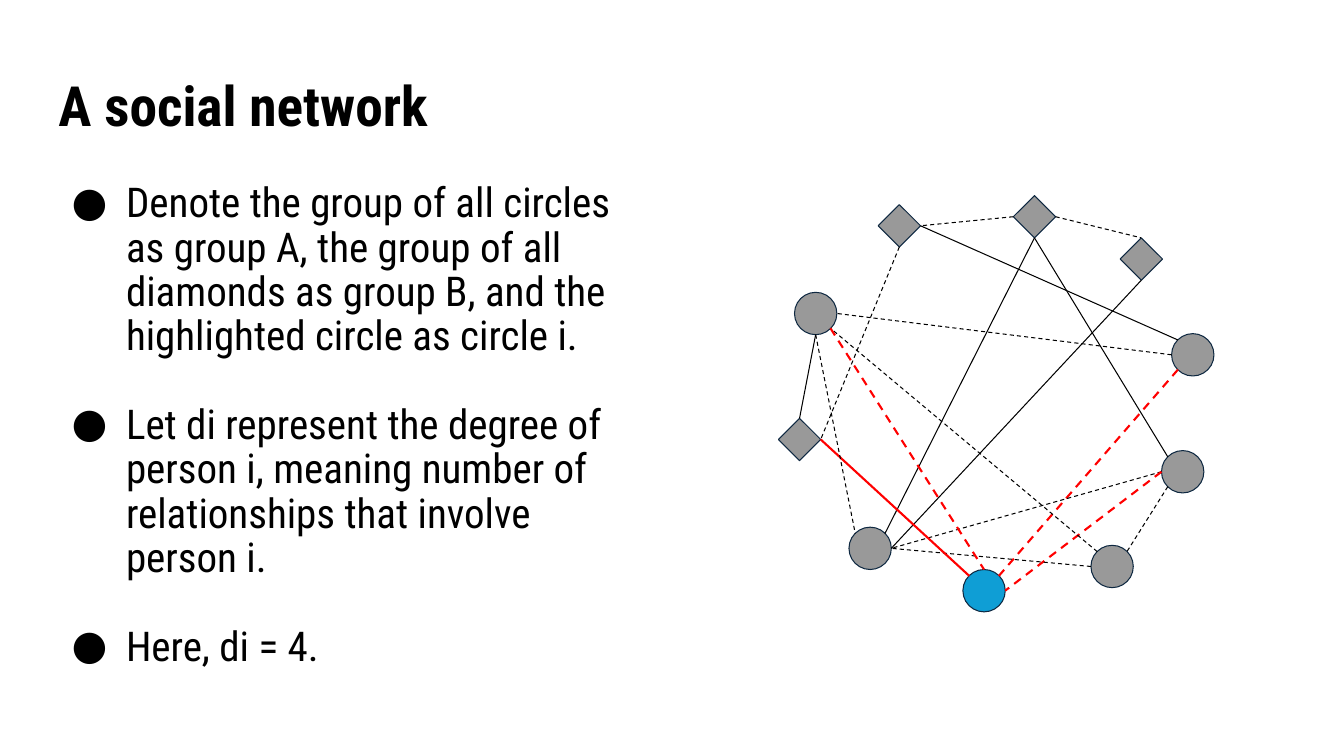
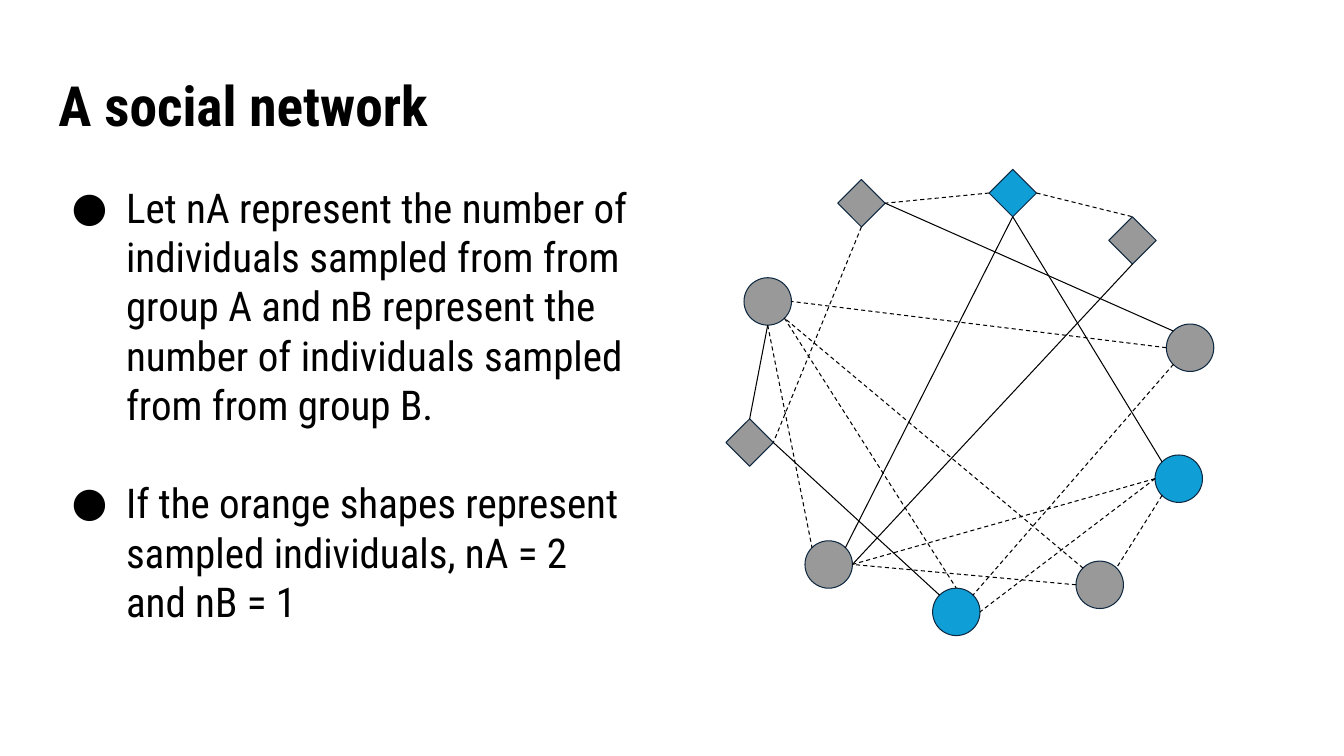
from lxml.etree import SubElement
from pptx import Presentation
from pptx.dml.color import RGBColor
from pptx.enum.dml import MSO_LINE as Dash
from pptx.enum.shapes import MSO_CONNECTOR as Connector, MSO_SHAPE as Preset
from pptx.enum.text import MSO_ANCHOR as Anchor, MSO_AUTO_SIZE as AutoSize, PP_ALIGN as Align
from pptx.oxml.ns import qn
from pptx.util import Inches, Pt

FONT = "Roboto Condensed"
BLACK, GREY, BLUE, NAVY, RED = "000000", "999999", "0F9ED5", "0E2841", "FF0000"
TITLE_BOX = (0.45, 0.65, 12.42, 0.84)
BODY_BOX = (0.45, 1.68, 5.99, 5.56)
INSET = 0.13
TITLE_SIZE, BODY_SIZE = 39.6, 29.3
LINE_HEIGHT = 35.2  # points, at single spacing

# Network at scale 1: top-left corner of each node, relative to the network
NODE_SIZE = 0.42
CIRCLES = {
    "lower right": (3.10, 3.47),
    "left": (0.16, 0.96),
    "lower left": (0.70, 3.29),
    "right": (3.80, 2.53),
    "upper right": (3.90, 1.37),
    "bottom": (1.83, 3.71),
}
DIAMONDS = {
    "top left": (0.99, 0.09),
    "top": (2.33, 0),
    "top right": (3.39, 0.42),
    "far left": (0, 2.21),
}
# Connection sites in preset order, and where each lies on the unit square
CIRCLE_SITES = ("N", "NW", "W", "SW", "S", "SE", "E", "NE")
DIAMOND_SITES = ("N", "W", "S", "E")
NEAR, FAR = 0.15, 0.85
SITE_POINTS = {
    "N": (0.5, 0), "NW": (NEAR, NEAR), "W": (0, 0.5), "SW": (NEAR, FAR),
    "S": (0.5, 1), "SE": (FAR, FAR), "E": (1, 0.5), "NE": (FAR, NEAR),
}
# Dashed ties join two nodes of one group, solid ties cross between groups
TIES = (
    ("top", "S", "lower left", "NE"),
    ("top", "S", "right", "NW"),
    ("top", "E", "top right", "N"),
    ("top", "W", "top left", "E"),
    ("top right", "S", "lower left", "E"),
    ("upper right", "NW", "top left", "E"),
    ("upper right", "W", "left", "E"),
    ("upper right", "SW", "bottom", "NE"),
    ("right", "W", "lower left", "E"),
    ("right", "W", "bottom", "E"),
    ("right", "SW", "lower right", "NE"),
    ("lower right", "W", "lower left", "E"),
    ("lower right", "NW", "left", "SE"),
    ("left", "SE", "bottom", "N"),
    ("far left", "E", "bottom", "NW"),
    ("left", "S", "lower left", "NW"),
    ("top left", "S", "far left", "E"),
    ("left", "S", "far left", "N"),
)


def color(value):
    return RGBColor.from_string(value)


def set_font(para, size, bold=False):
    para.font.name = FONT
    para.font.size = Pt(size)
    para.font.bold = bold
    para.font.color.rgb = color(BLACK)


def set_frame(frame):
    frame.word_wrap = True
    frame.auto_size = AutoSize.NONE
    frame.vertical_anchor = Anchor.TOP
    frame.margin_left = frame.margin_right = Inches(INSET)
    frame.margin_top = frame.margin_bottom = Inches(INSET)


def add_title(page, text):
    title = page.shapes.title
    title.left, title.top, title.width, title.height = map(Inches, TITLE_BOX)
    title.text_frame.text = text
    set_frame(title.text_frame)
    para = title.text_frame.paragraphs[0]
    para.alignment = Align.LEFT
    para.line_spacing = 0.9
    set_font(para, TITLE_SIZE, bold=True)


def add_bullets(page, box, texts, spacing):
    """List the texts one line apart, at the given line spacing."""
    frame = page.shapes.add_textbox(*map(Inches, box)).text_frame
    set_frame(frame)
    for number, text in enumerate(texts):
        para = frame.add_paragraph() if number else frame.paragraphs[0]
        para.text = text
        para.line_spacing = spacing
        if number:
            para.space_before = Pt(round(LINE_HEIGHT * spacing, 1))
        properties = para._p.get_or_add_pPr()
        properties.set("marL", str(Inches(0.67)))
        properties.set("indent", str(Inches(-0.54)))
        SubElement(properties, qn("a:buFont")).set("typeface", FONT)
        SubElement(properties, qn("a:buChar")).set("char", "●")
        set_font(para, BODY_SIZE)


def add_node(page, preset, left, top, size, fill):
    node = page.shapes.add_shape(preset, *map(Inches, (left, top, size, size)))
    node.shadow.inherit = False
    node.fill.solid()
    node.fill.fore_color.rgb = color(fill)
    node.line.color.rgb = color(NAVY)
    node.line.width = Pt(0.75)
    return node


def site_position(node, site):
    across, down = SITE_POINTS[site]
    return node.left + round(across * node.width), node.top + round(down * node.height)


def site_index(name, site):
    return str((CIRCLE_SITES if name in CIRCLES else DIAMOND_SITES).index(site))


def add_tie(page, nodes, tie, strong):
    start, start_site, end, end_site = tie
    line = page.shapes.add_connector(Connector.STRAIGHT, 0, 0, 0, 0)
    # Circles have eight sites, so the site number and the end are set after joining
    line.begin_connect(nodes[start], 0)
    line.end_connect(nodes[end], 0)
    line._element.find(".//" + qn("a:stCxn")).set("idx", site_index(start, start_site))
    line._element.find(".//" + qn("a:endCxn")).set("idx", site_index(end, end_site))
    line.begin_x, line.begin_y = site_position(nodes[start], start_site)
    line.end_x, line.end_y = site_position(nodes[end], end_site)
    line.line.color.rgb = color(RED if strong else BLACK)
    line.line.width = Pt(1.5 if strong else 0.75)
    if (start in CIRCLES) == (end in CIRCLES):
        line.line.dash_style = Dash.DASH
    SubElement(line._element.spPr, qn("a:effectLst"))


def add_network(page, left, top, scale, highlighted, focus=None):
    """Draw the network; ties of the focus node are red and thick."""
    nodes = {}
    for preset, places in ((Preset.OVAL, CIRCLES), (Preset.DIAMOND, DIAMONDS)):
        for name, (x, y) in places.items():
            fill = BLUE if name in highlighted else GREY
            nodes[name] = add_node(page, preset, left + x * scale, top + y * scale,
                                   NODE_SIZE * scale, fill)
    for tie in TIES:
        add_tie(page, nodes, tie, focus in (tie[0], tie[2]))


def add_network_page(deck, texts, spacing, **network):
    page = deck.slides.add_slide(deck.slide_layouts[5])
    add_title(page, "A social network")
    add_bullets(page, BODY_BOX, texts, spacing)
    add_network(page, **network)


def main():
    deck = Presentation()
    deck.slide_width, deck.slide_height = Inches(13.33), Inches(7.5)
    add_network_page(
        deck,
        ("Denote the group of all circles as group A, the group of all diamonds "
         "as group B, and the highlighted circle as circle i.",
         "Let di represent the degree of person i, meaning number of "
         "relationships that involve person i.",
         "Here, di = 4."),
        spacing=0.9, left=7.72, top=1.94, scale=1,
        highlighted=("bottom",), focus="bottom")
    add_network_page(
        deck,
        ("Let nA represent the number of individuals sampled from from group A "
         "and nB represent the number of individuals sampled from from group B.",
         "If the orange shapes represent sampled individuals, nA = 2 and nB = 1"),
        spacing=1.0, left=7.2, top=1.68, scale=1.12,
        highlighted=("bottom", "right", "top"))
    deck.save("out.pptx")


if __name__ == "__main__":
    main()
